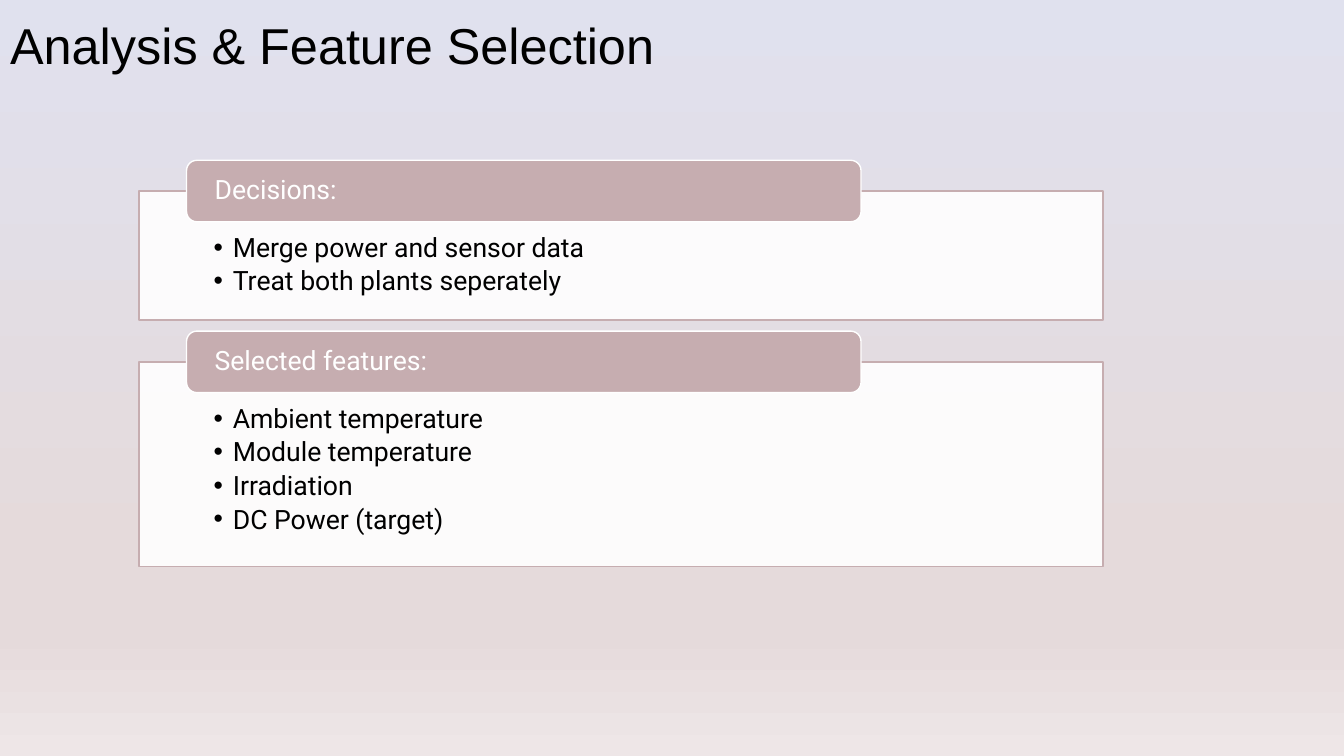
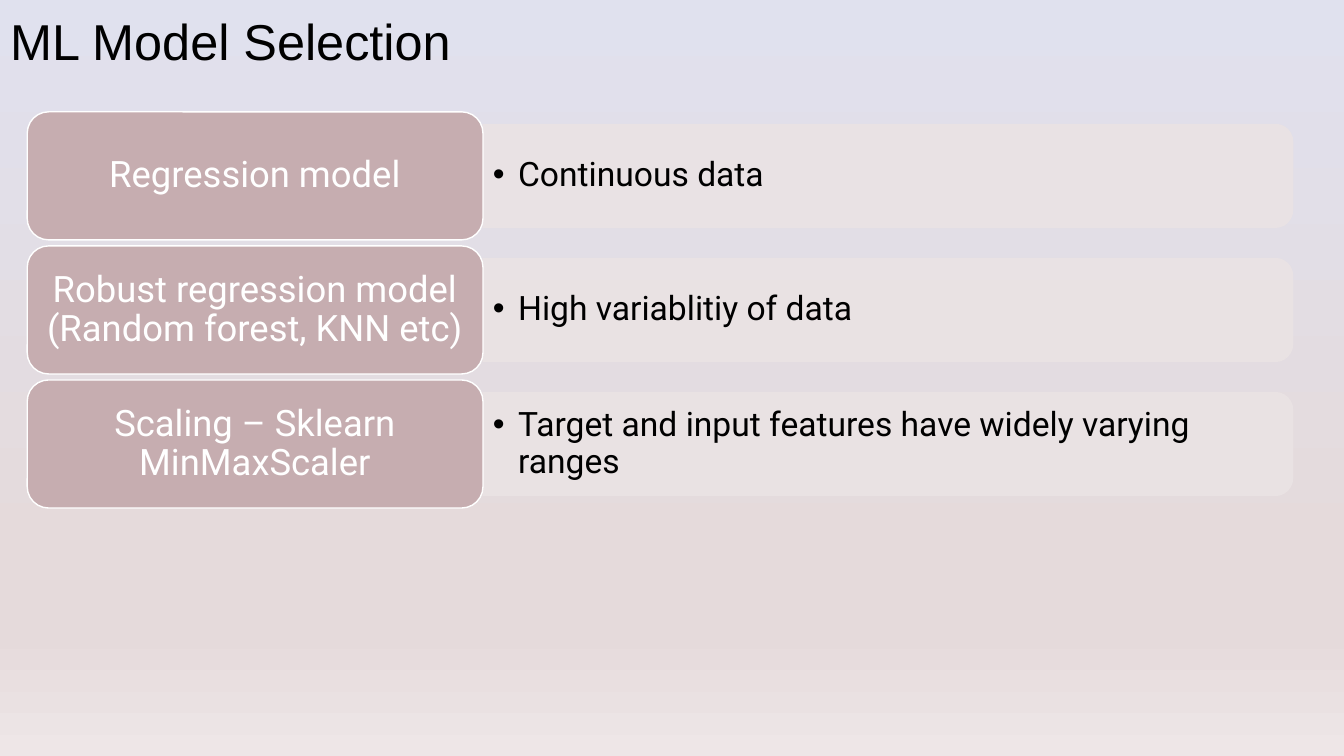
import copy

import lxml.etree
import pptx
import pptx.dml.color
import pptx.enum.shapes
import pptx.enum.text
import pptx.oxml.ns
import pptx.util

Inches = pptx.util.Inches
Pt = pptx.util.Pt
qn = pptx.oxml.ns.qn
SHAPE = pptx.enum.shapes.MSO_SHAPE
ALIGN = pptx.enum.text.PP_ALIGN
ANCHOR = pptx.enum.text.MSO_ANCHOR

ROSE, PALE, WHITE, BLACK = "C6ADB0", "EAE3E4", "FFFFFF", "000000"
BACKGROUND = [(0, "E0E1EE"), (0.74, "E5DADB"), (0.83, "E5DADB"), (1, "EEE6E7")]
TITLE_FONT, BODY_FONT = "Arial", "Roboto"

PANELS = [
    ("Decisions:", 1.28, ["Merge power and sensor data", "Treat both plants seperately"]),
    ("Selected features:", 2.03,
     ["Ambient temperature", "Module temperature", "Irradiation", "DC Power (target)"]),
]
MODELS = [
    ("Regression model", "Continuous data"),
    ("Robust regression model (Random forest, KNN etc)", "High variablitiy of data"),
    ("Scaling – Sklearn MinMaxScaler", "Target and input features have widely varying ranges"),
]


def rgb(color):
    return pptx.dml.color.RGBColor.from_string(color)


def paint(fill, color, opacity=1):
    fill.solid()
    fill.fore_color.rgb = rgb(color)
    if opacity < 1:
        clr = fill._xPr.find(".//" + qn("a:srgbClr"))
        lxml.etree.SubElement(clr, qn("a:alpha")).set("val", str(round(opacity * 100000)))


def put_text(sp, lines, size, color=BLACK, font=BODY_FONT, align=ALIGN.LEFT,
             anchor=ANCHOR.MIDDLE, insets=(0.1, 0.05, 0.1, 0.05), spacing=0.9,
             after=0, bullet=0):
    tf = sp.text_frame
    tf.word_wrap = True
    tf.auto_size = pptx.enum.text.MSO_AUTO_SIZE.NONE
    tf.vertical_anchor = anchor
    tf.margin_left, tf.margin_top, tf.margin_right, tf.margin_bottom = map(Inches, insets)
    for i, line in enumerate(lines):
        p = tf.paragraphs[0] if i == 0 else tf.add_paragraph()
        p.alignment = align
        p.line_spacing = spacing
        p.space_before = Pt(0)
        p.space_after = Pt(after)
        if bullet:
            pPr = p._p.get_or_add_pPr()
            pPr.set("marL", str(Inches(bullet)))
            pPr.set("indent", str(-Inches(bullet)))
            lxml.etree.SubElement(pPr, qn("a:buFont")).set("typeface", "Arial")
            lxml.etree.SubElement(pPr, qn("a:buChar")).set("char", "•")
        r = p.add_run()
        r.text = line
        r.font.name = font
        r.font.size = Pt(size)
        r.font.color.rgb = rgb(color)


def add_box(slide, kind, box, fill, line, opacity=1, line_opacity=1):
    sp = slide.shapes.add_shape(kind, *map(Inches, box))
    sp.shadow.inherit = False
    paint(sp.fill, fill, opacity)
    paint(sp.line.fill, line, line_opacity)
    sp.line.width = Pt(1)
    return sp


def set_background(master):
    fill = master.background.fill
    fill.gradient()
    fill.gradient_angle = 270
    stops = master.element.find(".//" + qn("p:bg")).find(".//" + qn("a:gsLst"))
    while len(stops) > len(BACKGROUND):
        stops.remove(stops[-1])
    while len(stops) < len(BACKGROUND):
        stops.append(copy.deepcopy(stops[0]))
    for stop, (position, color) in zip(fill.gradient_stops, BACKGROUND):
        stop.position = position
        stop.color.rgb = rgb(color)


def add_slide(prs, title, top):
    slide = prs.slides.add_slide(prs.slide_layouts.get_by_name("Title Only"))
    sp = slide.shapes.title
    sp.left, sp.top, sp.width, sp.height = map(Inches, (0, top, 7.47, 0.71))
    put_text(sp, [title], 36, font=TITLE_FONT, anchor=ANCHOR.TOP, spacing=1)
    return slide


def add_panels(slide):
    tab_top, tab_height, gap = 1.59, 0.61, 0.11
    for heading, height, items in PANELS:
        top = tab_top + tab_height / 2
        panel = add_box(slide, SHAPE.RECTANGLE, (1.38, top, 9.56, height), WHITE, ROSE, 0.9)
        put_text(panel, items, 19, anchor=ANCHOR.TOP, insets=(0.74, 0.43, 0.74, 0.15),
                 after=3.5, bullet=0.19)
        tab = add_box(slide, SHAPE.ROUNDED_RECTANGLE, (1.85, tab_top, 6.69, tab_height),
                      ROSE, WHITE)
        put_text(tab, [heading], 19, WHITE, insets=(0.25, 0, 0.25, 0))
        tab_top = top + height + gap


def add_models(slide):
    left, width, height, pitch = 0.27, 4.52, 1.27, 1.33
    bar_width, bar_height = 8.03, 1.02
    bar_left = left + width
    for i, (model, reason) in enumerate(MODELS):
        top = 1.11 + i * pitch
        middle = top + height / 2
        bar = add_box(slide, SHAPE.ROUND_2_SAME_RECTANGLE,
                      (bar_left + (bar_width - bar_height) / 2, middle - bar_width / 2,
                       bar_height, bar_width), PALE, PALE, 0.9, 0.9)
        bar.rotation = 90
        label = slide.shapes.add_textbox(*map(Inches, (bar_left, middle - 0.46, 7.98, 0.92)))
        put_text(label, [reason], 24, bullet=0.25)
        card = add_box(slide, SHAPE.ROUNDED_RECTANGLE, (left, top, width, height), ROSE, WHITE)
        put_text(card, [model], 26, WHITE, align=ALIGN.CENTER,
                 insets=(0.11, 0.05, 0.11, 0.05))


def main():
    prs = pptx.Presentation()
    prs.slide_width, prs.slide_height = Inches(13.33), Inches(7.5)
    set_background(prs.slide_master)
    add_panels(add_slide(prs, "Analysis & Feature Selection", 0.09))
    add_models(add_slide(prs, "ML Model Selection", 0.05))
    prs.save("out.pptx")


if __name__ == "__main__":
    main()
